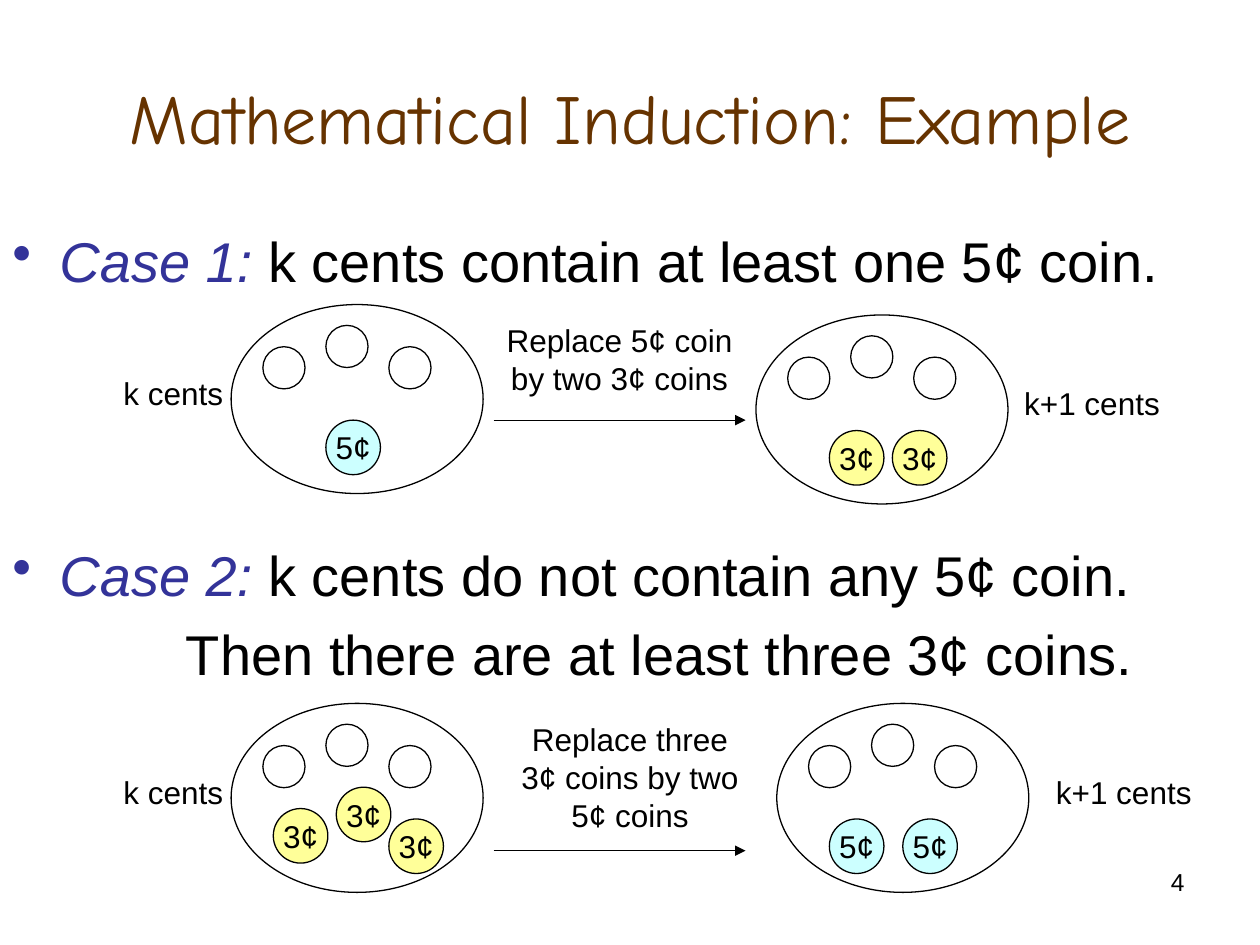
"""Build the slide on mathematical induction with coins."""
from lxml import etree
from pptx import Presentation
from pptx.dml.color import RGBColor
from pptx.enum.shapes import MSO_CONNECTOR, MSO_SHAPE
from pptx.enum.text import MSO_ANCHOR, PP_ALIGN
from pptx.oxml.ns import qn
from pptx.util import Cm, Pt

OVAL, STRAIGHT = MSO_SHAPE.OVAL, MSO_CONNECTOR.STRAIGHT
CENTER, RIGHT, MIDDLE = PP_ALIGN.CENTER, PP_ALIGN.RIGHT, MSO_ANCHOR.MIDDLE

THEME = {
    "title_font": "Comic Neue", "body_font": "Arial",
    "title": "663300", "accent": "333399", "ink": "000000", "plain": "FFFFFF",
    "3¢": "FFFF99", "5¢": "CCFFFF",
    "title_size": 40, "body_size": 32, "label_size": 18, "number_size": 14,
    "line": 0.75,
}

TITLE = "Mathematical Induction: Example"
STATEMENTS = [
    {"lead": "Case 1: ", "text": "k cents contain at least one 5¢ coin.", "before": 0},
    {"lead": "Case 2: ", "text": "k cents do not contain any 5¢ coin.", "before": 141},
    {"lead": "", "text": "Then there are at least three 3¢ coins.", "before": 6.4},
]
PILE_SIZE = (5.08, 3.81)
PLAIN_SIZE, COIN_SIZE = 0.85, 1.1
PLAIN_COINS = [(0.64, 0.85), (1.91, 0.42), (3.18, 0.85)]
PILES = [
    {"at": (4.66, 6.14), "coin": "5¢", "coins": [(1.91, 2.33)]},
    {"at": (15.24, 6.35), "coin": "3¢", "coins": [(1.48, 2.33), (2.75, 2.33)]},
    {"at": (4.66, 14.18), "coin": "3¢", "coins": [(0.85, 2.12), (2.12, 1.69), (3.18, 2.33)]},
    {"at": (15.66, 14.18), "coin": "5¢", "coins": [(1.06, 2.33), (2.54, 2.33)]},
]
LABELS = [
    ("Replace 5¢ coin by two 3¢ coins", (9.95, 6.35, 5.08, 1.78)),
    ("k cents", (2.12, 7.41, 2.75, 1.02)),
    ("k+1 cents", (20.11, 7.62, 3.81, 1.02)),
    ("Replace three 3¢ coins by two 5¢ coins", (10.16, 14.39, 5.08, 2.54)),
    ("k cents", (2.12, 15.45, 2.75, 1.02)),
    ("k+1 cents", (20.96, 15.45, 3.39, 1.02)),
]
ARROW_START, ARROW_END, ARROW_TOPS = 9.95, 15.03, (8.47, 17.15)
NUMBER = ("4", (18.21, 17.35, 5.92, 1.32))


def color(name):
    return RGBColor.from_string(THEME[name])


def style(paragraph, size, ink="ink", font="body_font", align=None):
    paragraph.font.name = THEME[font]
    paragraph.font.size = Pt(THEME[size])
    paragraph.font.color.rgb = color(ink)
    paragraph.alignment = align


def add_text_box(slide, box):
    frame = slide.shapes.add_textbox(*map(Cm, box)).text_frame
    frame.word_wrap = True
    return frame


def add_label(slide, text, box, size="label_size", align=CENTER):
    paragraph = add_text_box(slide, box).paragraphs[0]
    paragraph.text = text
    style(paragraph, size, align=align)


def add_title(slide):
    title = slide.shapes.title
    title.left, title.top, title.width, title.height = map(Cm, (1.27, 0.76, 22.86, 3.18))
    title.text_frame.text = TITLE
    title.text_frame.vertical_anchor = MIDDLE
    style(title.text_frame.paragraphs[0], "title_size", "title", "title_font", CENTER)


def add_statements(slide):
    frame = add_text_box(slide, (0, 4.45, 25.4, 14.6))
    for index, statement in enumerate(STATEMENTS):
        paragraph = frame.add_paragraph() if index else frame.paragraphs[0]
        style(paragraph, "body_size")
        paragraph.space_before = Pt(statement["before"])
        properties = paragraph._p.get_or_add_pPr()
        if statement["lead"]:
            properties.set("marL", str(Cm(0.95)))
            properties.set("indent", str(Cm(-0.95)))
            bullet = etree.Element(qn("a:buChar"), char="•")
            properties.insert_element_before(bullet, "a:tabLst", "a:defRPr")
            lead = paragraph.add_run()
            lead.text = statement["lead"]
            lead.font.italic = True
            lead.font.color.rgb = color("accent")
        else:
            properties.set("marL", str(Cm(3.5)))
        paragraph.add_run().text = statement["text"]


def add_oval(slide, left, top, width, height, fill="plain"):
    oval = slide.shapes.add_shape(OVAL, *map(Cm, (left, top, width, height)))
    oval.shadow.inherit = False
    oval.fill.solid()
    oval.fill.fore_color.rgb = color(fill)
    oval.line.color.rgb = color("ink")
    oval.line.width = Pt(THEME["line"])
    return oval


def add_pile(slide, pile):
    left, top = pile["at"]
    add_oval(slide, left, top, *PILE_SIZE)
    for across, down in PLAIN_COINS:
        add_oval(slide, left + across, top + down, PLAIN_SIZE, PLAIN_SIZE)
    for across, down in pile["coins"]:
        coin = add_oval(slide, left + across, top + down, COIN_SIZE, COIN_SIZE, pile["coin"])
        frame = coin.text_frame
        frame.word_wrap = False
        frame.vertical_anchor = MIDDLE
        frame.text = pile["coin"]
        style(frame.paragraphs[0], "label_size", align=CENTER)


def add_arrow(slide, top):
    arrow = slide.shapes.add_connector(
        STRAIGHT, Cm(ARROW_START), Cm(top), Cm(ARROW_END), Cm(top))
    arrow.line.color.rgb = color("ink")
    arrow.line.width = Pt(THEME["line"])
    etree.SubElement(arrow.line._get_or_add_ln(), qn("a:tailEnd"), type="triangle")
    etree.SubElement(arrow._element.spPr, qn("a:effectLst"))


def main():
    presentation = Presentation()
    presentation.slide_width, presentation.slide_height = Cm(25.4), Cm(19.05)
    slide = presentation.slides.add_slide(presentation.slide_layouts[5])
    add_title(slide)
    add_statements(slide)
    for pile in PILES:
        add_pile(slide, pile)
    for top in ARROW_TOPS:
        add_arrow(slide, top)
    for text, box in LABELS:
        add_label(slide, text, box)
    add_label(slide, *NUMBER, size="number_size", align=RIGHT)
    presentation.save("out.pptx")


if __name__ == "__main__":
    main()
